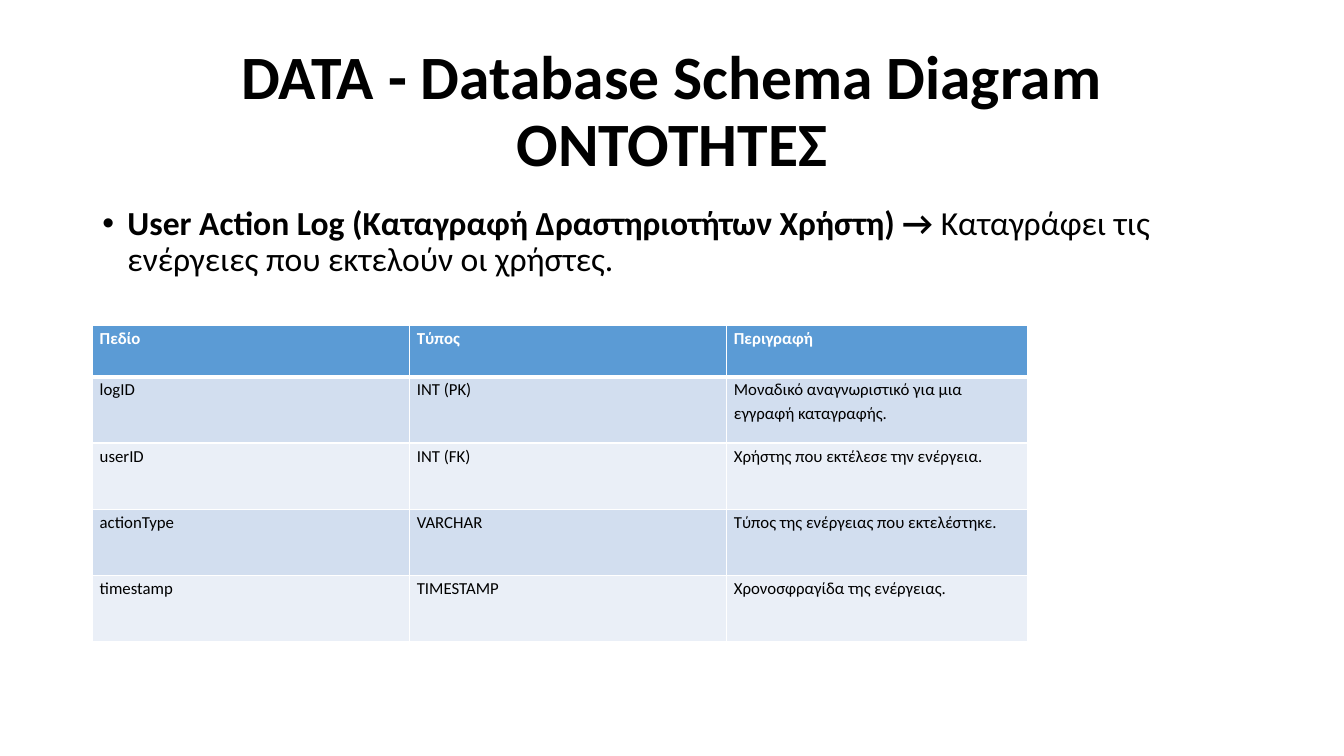
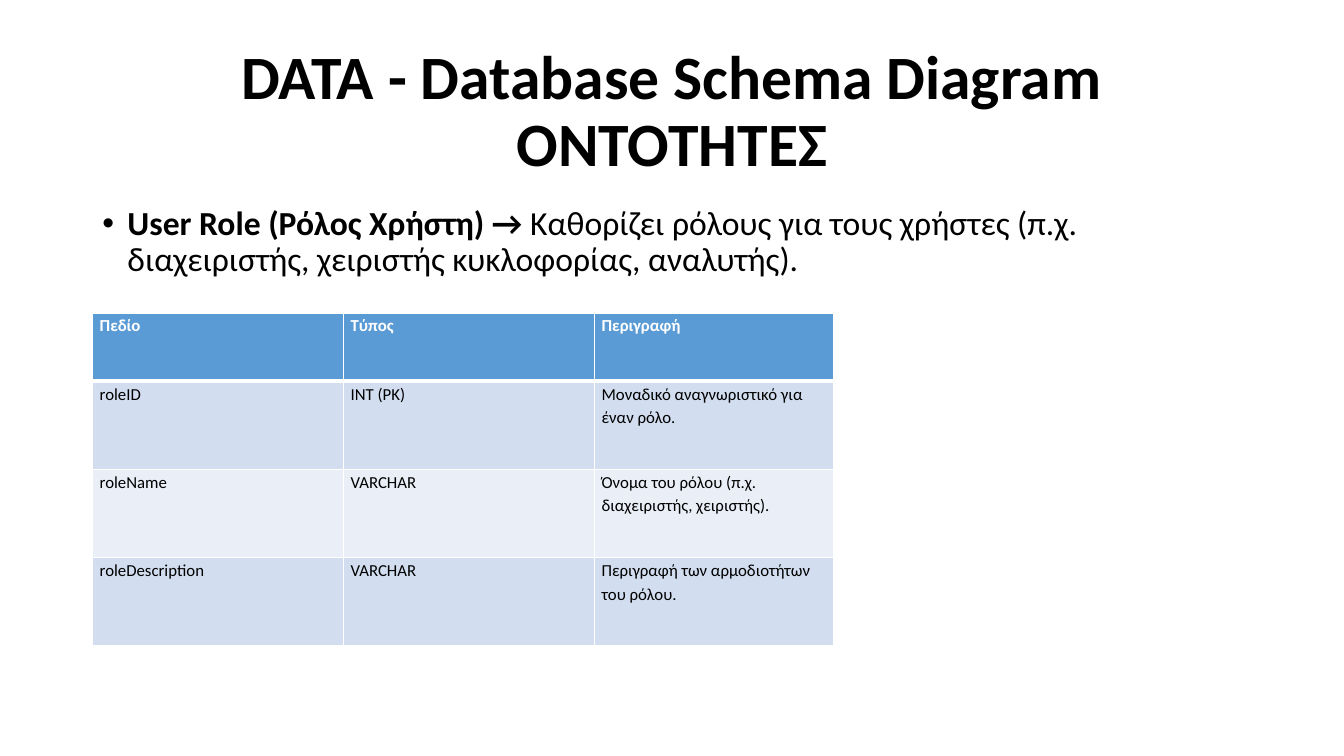
"""Build two slides that describe database entities with field tables."""
from lxml.etree import SubElement
from pptx import Presentation
from pptx.dml.color import RGBColor
from pptx.enum.text import MSO_ANCHOR as Anchor, PP_ALIGN as Align
from pptx.oxml.ns import qn
from pptx.util import Pt

PX = 9525
FONT = "Calibri"
BLACK, WHITE, HEADER = "000000", "FFFFFF", "5B9BD5"
BANDS = ["D2DEEF", "EAEFF7"]
LEFT, WIDTH = 88, 1104
TITLE = ["DATA - Database Schema Diagram", "ΟΝΤΟΤΗΤΕΣ"]
HEADINGS = ["Πεδίο", "Τύπος", "Περιγραφή"]

ENTITIES = [
    {
        "name": "User Action Log (Καταγραφή Δραστηριοτήτων Χρήστη) → ",
        "purpose": "Καταγράφει τις ενέργειες που εκτελούν οι χρήστες.",
        "top": 310, "columns": [302, 302, 287], "header": 49, "row": 63,
        "fields": [
            ["logID", "INT (PK)", "Μοναδικό αναγνωριστικό για μια εγγραφή καταγραφής."],
            ["userID", "INT (FK)", "Χρήστης που εκτέλεσε την ενέργεια."],
            ["actionType", "VARCHAR", "Τύπος της ενέργειας που εκτελέστηκε."],
            ["timestamp", "TIMESTAMP", "Χρονοσφραγίδα της ενέργειας."],
        ],
    },
    {
        "name": "User Role (Ρόλος Χρήστη) → ",
        "purpose": "Καθορίζει ρόλους για τους χρήστες (π.χ. διαχειριστής, "
                   "χειριστής κυκλοφορίας, αναλυτής).",
        "top": 298, "columns": [239, 239, 228], "header": 65, "row": 84,
        "fields": [
            ["roleID", "INT (PK)", "Μοναδικό αναγνωριστικό για έναν ρόλο."],
            ["roleName", "VARCHAR", "Όνομα του ρόλου (π.χ. διαχειριστής, χειριστής)."],
            ["roleDescription", "VARCHAR", "Περιγραφή των αρμοδιοτήτων του ρόλου."],
        ],
    },
]


def color(code):
    return RGBColor.from_string(code)


def add_span(para, text, size, code=BLACK, bold=False):
    span = para.add_run()
    span.text = text
    span.font.name = FONT
    span.font.size = Pt(size)
    span.font.bold = bold
    span.font.color.rgb = color(code)


deck = Presentation()
deck.slide_width, deck.slide_height = 1280 * PX, 720 * PX

for entity in ENTITIES:
    page = deck.slides.add_slide(deck.slide_layouts[6])

    title_box = page.shapes.add_textbox(LEFT * PX, 38 * PX, WIDTH * PX, 139 * PX)
    title_box.text_frame.word_wrap = True
    title_box.text_frame.vertical_anchor = Anchor.MIDDLE
    para = title_box.text_frame.paragraphs[0]
    para.alignment = Align.CENTER
    para.line_spacing = 0.9
    add_span(para, TITLE[0], 44, bold=True)
    para.add_line_break()
    add_span(para, TITLE[1], 44, bold=True)

    body_box = page.shapes.add_textbox(LEFT * PX, 192 * PX, WIDTH * PX, 457 * PX)
    body_box.text_frame.word_wrap = True
    para = body_box.text_frame.paragraphs[0]
    para.line_spacing = 0.9
    properties = para._p.get_or_add_pPr()
    properties.set("marL", str(24 * PX))
    properties.set("indent", str(-24 * PX))
    SubElement(properties, qn("a:buFont"), typeface="Arial")
    SubElement(properties, qn("a:buChar"), char="•")
    add_span(para, entity["name"], 24, bold=True)
    add_span(para, entity["purpose"], 24)

    rows = [HEADINGS] + entity["fields"]
    heights = [entity["header"]] + [entity["row"]] * len(entity["fields"])
    table = page.shapes.add_table(
        len(rows), len(HEADINGS), LEFT * PX, entity["top"] * PX,
        sum(entity["columns"]) * PX, sum(heights) * PX).table
    table.horz_banding = False
    for column, width in zip(table.columns, entity["columns"]):
        column.width = width * PX

    for row_index, (texts, height) in enumerate(zip(rows, heights)):
        is_header = row_index == 0
        table.rows[row_index].height = height * PX
        for column_index, text in enumerate(texts):
            cell = table.cell(row_index, column_index)
            cell.margin_left = cell.margin_right = 7 * PX
            cell.margin_top = cell.margin_bottom = 0
            borders = {"L": 1, "R": 1, "T": 3 if row_index == 1 else 1, "B": 3 if is_header else 1}
            for side, points in borders.items():
                line = SubElement(cell._tc.get_or_add_tcPr(), qn(f"a:ln{side}"), w=str(Pt(points)))
                SubElement(SubElement(line, qn("a:solidFill")), qn("a:srgbClr"), val=WHITE)
            cell.fill.solid()
            cell.fill.fore_color.rgb = color(HEADER if is_header else BANDS[(row_index - 1) % 2])
            para = cell.text_frame.paragraphs[0]
            para.line_spacing = 1.15
            add_span(para, text, 12, WHITE if is_header else BLACK, is_header)

deck.save("out.pptx")
